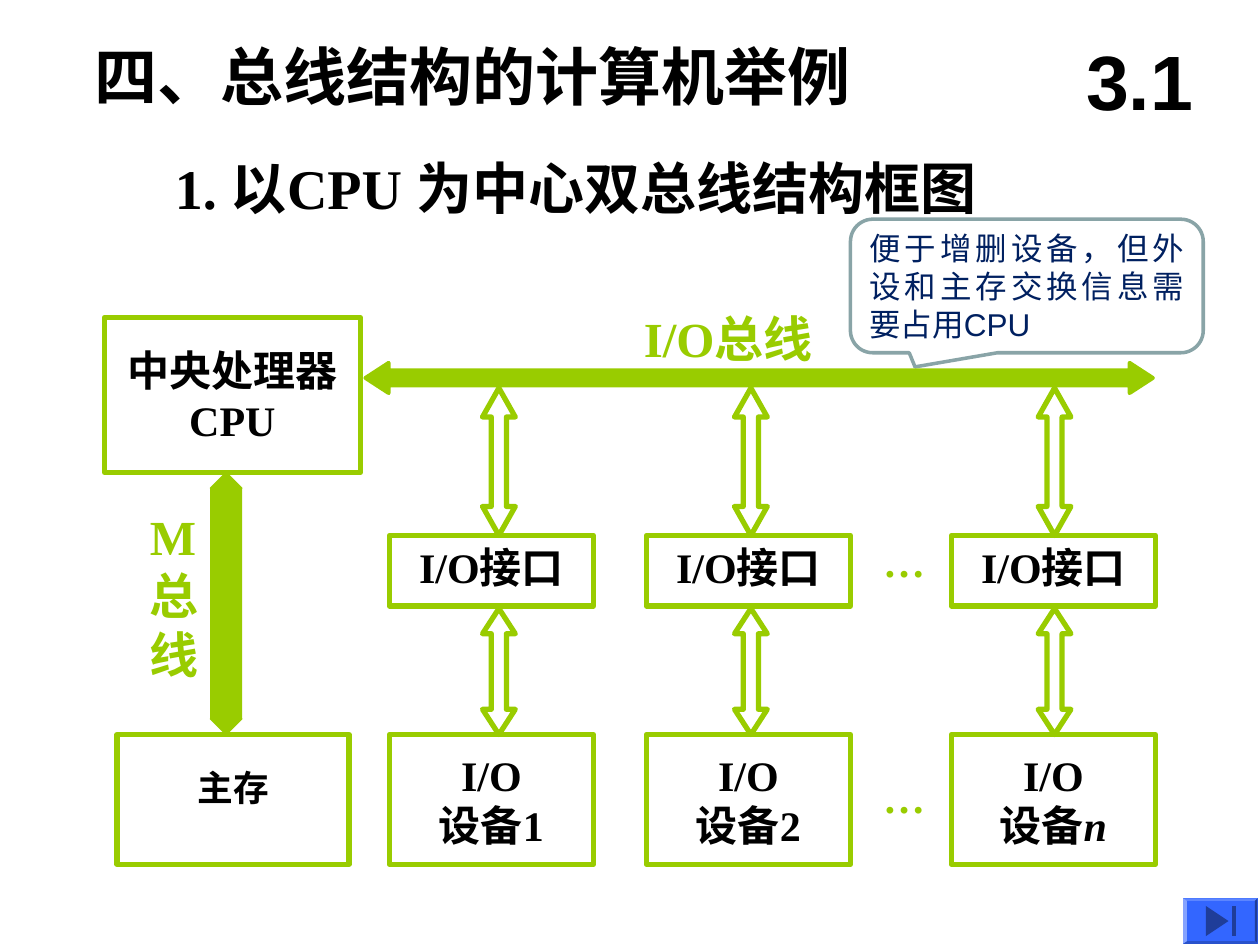
"""Build a slide showing a CPU-centred dual-bus computer structure."""
from lxml import etree
from pptx import Presentation
from pptx.dml.color import RGBColor
from pptx.enum.shapes import MSO_SHAPE
from pptx.enum.text import MSO_ANCHOR, PP_ALIGN
from pptx.oxml.ns import qn
from pptx.util import Inches, Pt

RECT, CALLOUT = MSO_SHAPE.RECTANGLE, MSO_SHAPE.ROUNDED_RECTANGULAR_CALLOUT
ACROSS, UPDOWN = MSO_SHAPE.LEFT_RIGHT_ARROW, MSO_SHAPE.UP_DOWN_ARROW
TOP, MIDDLE = MSO_ANCHOR.TOP, MSO_ANCHOR.MIDDLE
LEFT, CENTER, JUSTIFY = PP_ALIGN.LEFT, PP_ALIGN.CENTER, PP_ALIGN.JUSTIFY


class Theme:
    green, black, navy = "99CC00", "000000", "002060"
    white, gray = "FFFFFF", "89A4A7"
    blue, light, pale, dim, dark = "3366FF", "5C85FF", "85A3FF", "2952CC", "1F3D99"
    serif, sans, han = "Times New Roman", "Arial", "Noto Sans CJK SC"
    mark, title, head, bus, body, store, note = 44, 36, 32, 28, 24, 20.4, 18


def paint(shape, fill=None, line=None, width=3):
    shape.shadow.inherit = False
    if fill:
        shape.fill.solid()
        shape.fill.fore_color.rgb = RGBColor.from_string(fill)
    else:
        shape.fill.background()
    if line:
        shape.line.color.rgb = RGBColor.from_string(line)
        shape.line.width = Pt(width)
    else:
        shape.line.fill.background()


def write(shape, text, size=Theme.body, color=Theme.black, font=Theme.serif, bold=True,
          align=LEFT, anchor=TOP, pad=(0.1, 0.05), space=None, tail=""):
    frame = shape.text_frame
    frame.word_wrap = True
    frame.vertical_anchor = anchor
    frame.margin_left = frame.margin_right = Inches(pad[0])
    frame.margin_top = Inches(pad[1])
    frame.margin_bottom = Inches(min(pad[1], 0.05))
    frame.text = text
    if tail:
        run = frame.paragraphs[-1].add_run()
        run.text = tail
        run.font.italic = True
    for para in frame.paragraphs:
        para.alignment = align
        if space:
            para.line_spacing = space
        for run in para.runs:
            run.font.size = Pt(size)
            run.font.bold = bold
            run.font.name = font
            run.font.color.rgb = RGBColor.from_string(color)
            etree.SubElement(run._r.rPr, qn("a:ea")).set("typeface", Theme.han)


deck = Presentation()
deck.slide_width, deck.slide_height = Inches(10), Inches(7.5)
shapes = deck.slides.add_slide(deck.slide_layouts[6]).shapes

note = shapes.add_shape(CALLOUT, Inches(6.75), Inches(1.74), Inches(2.8), Inches(1.06))
for i, value in enumerate((-0.317, 0.606, 0.167)):
    note.adjustments[i] = value
paint(note, Theme.white, Theme.gray, 2)
write(note, "便于增删设备，但外设和主存交换信息需要占用CPU", size=Theme.note,
      color=Theme.navy, font=Theme.sans, bold=False, align=JUSTIFY, anchor=MIDDLE)

bus = dict(size=Theme.bus, color=Theme.green, pad=(0, 0))
dots = dict(color=Theme.green, pad=(0, 0))
labels = [
    (0.65, 0.25, 6.95, 0.7, "四、总线结构的计算机举例", dict(size=Theme.title)),
    (1.29, 1.17, 6.96, 0.64, "1. 以CPU 为中心双总线结构框图", dict(size=Theme.head)),
    (8.42, 0.17, 1.25, 0.92, "3.1",
     dict(size=Theme.mark, font=Theme.sans, align=CENTER, anchor=MIDDLE)),
    (5.11, 2.45, 1.98, 0.47, "I/O总线", bus),
    (1.19, 4.02, 0.47, 1.4, "M\n总\n线", bus),
    (7.01, 4.25, 0.41, 0.4, "…", dots),
    (7.01, 6.12, 0.41, 0.4, "…", dots),
]
for x, y, w, h, text, style in labels:
    write(shapes.add_textbox(Inches(x), Inches(y), Inches(w), Inches(h)), text, **style)

buses = [
    (ACROSS, 2.9, 2.88, 6.25, 0.24, 0.77, 2.25),
    (UPDOWN, 1.67, 3.75, 0.25, 2.08, 0.98, 0.75),
]
for kind, x, y, w, h, tip, width in buses:
    arrow = shapes.add_shape(kind, Inches(x), Inches(y), Inches(w), Inches(h))
    arrow.adjustments[0], arrow.adjustments[1] = 0.5, tip
    paint(arrow, Theme.green, Theme.green, width)

mid = dict(align=CENTER, anchor=MIDDLE)
boxes = [
    (0.83, 2.52, 2.03, 1.23, "中央处理器\nCPU", mid),
    (0.93, 5.83, 1.84, 1.03, "主存",
     dict(size=Theme.store, align=CENTER, pad=(0.1, 0.29), space=0.9)),
]
outlines = []
for x, axis, name, tail in ((3.09, 3.96, "1", ""), (5.13, 5.96, "2", ""), (7.55, 8.37, "", "n")):
    boxes.append((x, 4.25, 1.62, 0.56, "I/O接口", dict(align=CENTER)))
    boxes.append((x, 5.83, 1.62, 1.03, "I/O\n设备" + name, dict(mid, tail=tail)))
    for top, end, tip in ((3.08, 4.25, 0.23), (4.83, 5.83, 0.2)):
        side = [(0, top), (0.13, top + tip), (0.06, top + tip),
                (0.06, end - tip), (0.13, end - tip), (0, end)]
        points = [(axis + dx, y) for dx, y in side]
        points += [(axis - dx, y) for dx, y in side[-2:0:-1]]
        outlines.append((points, None, Theme.green))
for x, y, w, h, text, style in boxes:
    box = shapes.add_shape(RECT, Inches(x), Inches(y), Inches(w), Inches(h))
    paint(box, None, Theme.green)
    write(box, text, **style)

outer = [(9.39, 7.13), (9.98, 7.13), (9.98, 7.49), (9.39, 7.49)]
inner = [(9.42, 7.15), (9.96, 7.15), (9.96, 7.47), (9.42, 7.47)]
outlines.append((outer, Theme.blue, None))
for i, shade in enumerate((Theme.light, Theme.dark, Theme.dim, Theme.pale)):
    j = (i + 1) % 4
    outlines.append(([outer[i], outer[j], inner[j], inner[i]], shade, None))
outlines.append(([(9.75, 7.31), (9.57, 7.43), (9.57, 7.19)], Theme.dark, None))
outlines.append(([(9.78, 7.19), (9.78, 7.43), (9.81, 7.43), (9.81, 7.19)], Theme.dark, None))
for points, fill, line in outlines:
    spots = [(Inches(x), Inches(y)) for x, y in points]
    pen = shapes.build_freeform(*spots[0])
    pen.add_line_segments(spots[1:])
    paint(pen.convert_to_shape(), fill, line)

deck.save("out.pptx")
